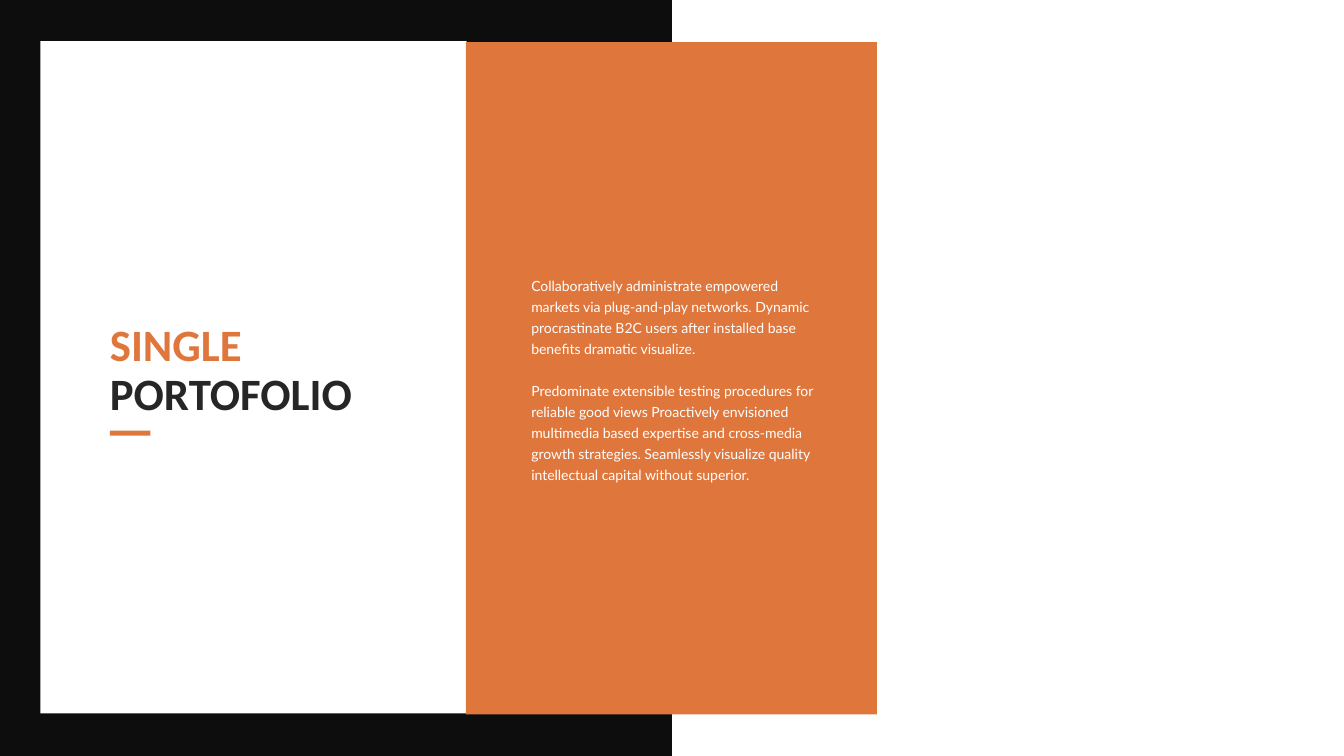
"""Build the single portfolio slide."""
from pptx import Presentation
from pptx.dml.color import RGBColor
from pptx.enum.shapes import MSO_SHAPE
from pptx.enum.text import MSO_ANCHOR
from pptx.util import Cm, Pt

RECTANGLE = MSO_SHAPE.RECTANGLE
TOP, MIDDLE = MSO_ANCHOR.TOP, MSO_ANCHOR.MIDDLE
COLORS = {"black": "0D0D0D", "white": "FFFFFF", "orange": "DF773D", "dark": "262626"}
SLIDE_WIDTH, SLIDE_HEIGHT = 33.87, 19.05
TITLE_LINES = [("SINGLE", "orange"), ("PORTOFOLIO", "dark")]
BODY_LINES = [
    ("Collaboratively administrate empowered markets via plug-and-play networks. "
     "Dynamic procrastinate B2C users after installed base benefits dramatic visualize.",
     "white"),
    ("Predominate extensible testing procedures for reliable good views Proactively "
     "envisioned multimedia based expertise and cross-media growth strategies. "
     "Seamlessly visualize quality intellectual capital without superior.", "white"),
]


def add_panel(slide, left, top, width, height, color):
    """Add a plain filled rectangle, with lengths in centimetres."""
    shape = slide.shapes.add_shape(RECTANGLE, Cm(left), Cm(top), Cm(width), Cm(height))
    shape.shadow.inherit = False
    shape.fill.solid()
    shape.fill.fore_color.rgb = RGBColor.from_string(COLORS[color])
    shape.line.fill.background()


def add_text(slide, left, top, width, height, lines, font, size, spacing,
             bold=False, gap=0, anchor=TOP):
    """Add a text box without insets, one paragraph per (text, color) pair."""
    box = slide.shapes.add_textbox(Cm(left), Cm(top), Cm(width), Cm(height))
    frame = box.text_frame
    frame.word_wrap = True
    frame.vertical_anchor = anchor
    frame.margin_left = frame.margin_right = frame.margin_top = frame.margin_bottom = 0
    frame.text = "\n".join(text for text, _ in lines)
    for index, (paragraph, (_, color)) in enumerate(zip(frame.paragraphs, lines)):
        paragraph.line_spacing = Pt(spacing)
        paragraph.space_before = Pt(gap if index else 0)
        for run in paragraph.runs:
            run.font.name = font
            run.font.size = Pt(size)
            run.font.bold = bold
            run.font.color.rgb = RGBColor.from_string(COLORS[color])


def add_title_card(slide, left, top, width, height):
    """Draw the white card with its title and accent bar."""
    add_panel(slide, left, top, width, height, "white")
    add_text(slide, left + 1.75, top + 7.04, 7.34, 2.49, TITLE_LINES,
             "Calibri", 32, 35, bold=True, anchor=MIDDLE)
    add_panel(slide, left + 1.75, top + 9.81, 1.02, 0.13, "orange")


def add_story_card(slide, left, top, width, height):
    """Draw the orange card with its body text."""
    add_panel(slide, left, top, width, height, "orange")
    add_text(slide, left + 1.65, top + 5.82, 7.11, 5.28, BODY_LINES,
             "Lato", 10, 15, gap=15)


def main():
    """Create and save the presentation."""
    presentation = Presentation()
    presentation.slide_width = Cm(SLIDE_WIDTH)
    presentation.slide_height = Cm(SLIDE_HEIGHT)
    slide = presentation.slides.add_slide(presentation.slide_layouts[6])
    add_panel(slide, 0, 0, SLIDE_WIDTH / 2, SLIDE_HEIGHT, "black")
    add_title_card(slide, 1.02, 1.04, 10.74, 16.94)
    add_story_card(slide, 11.74, 1.06, 10.36, 16.94)
    presentation.save("out.pptx")


if __name__ == "__main__":
    main()
